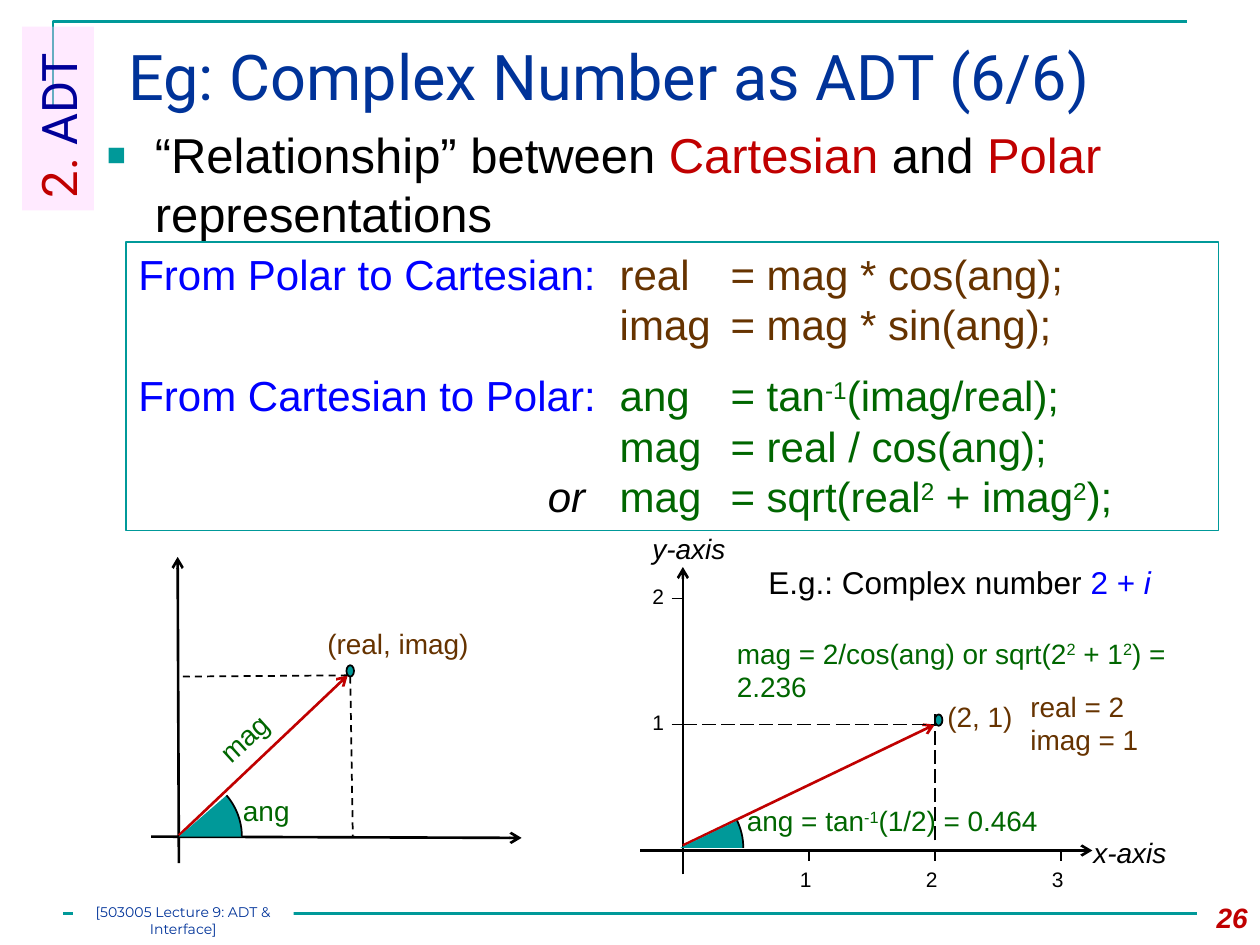
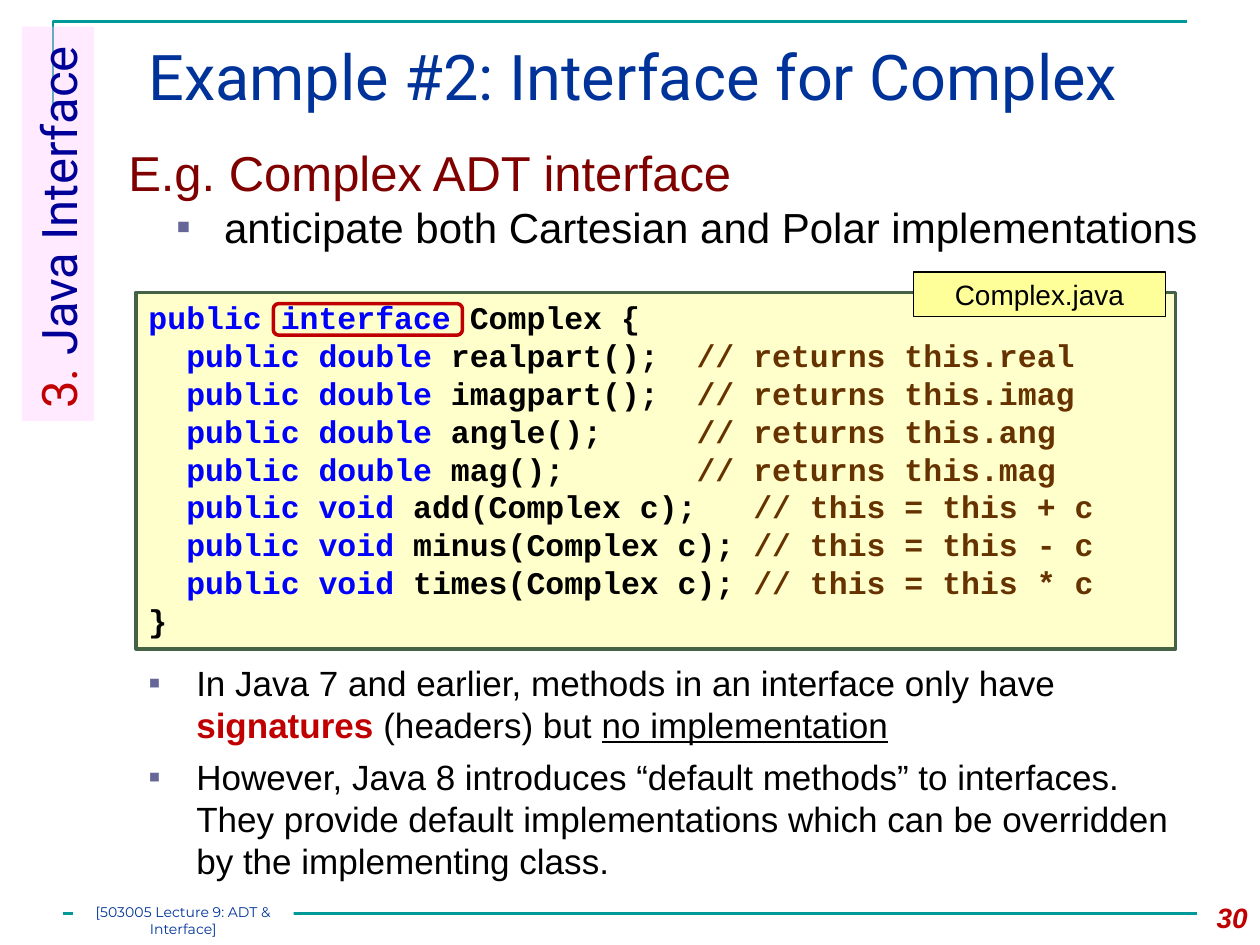
from math import atan2, degrees

from lxml import etree
from pptx import Presentation
from pptx.dml.color import RGBColor
from pptx.enum.dml import MSO_LINE
from pptx.enum.shapes import MSO_CONNECTOR, MSO_SHAPE
from pptx.enum.text import MSO_ANCHOR, PP_ALIGN
from pptx.oxml.ns import qn
from pptx.util import Inches, Pt

TEAL, NAVY, RED, BLACK, WHITE = "009999", "003399", "C00000", "000000", "FFFFFF"
BLUE, BROWN, GREEN, SLATE = "0000FF", "663300", "006600", "666699"
TAG_PINK, TAG_NAVY, MAROON = "FFCCFF", "000099", "800000"
CODE_FILL, CODE_EDGE, FILE_FILL = "FFFFCC", "446246", "FFFF99"


def rgb(value):
    return RGBColor.from_string(value)


def add_child(parent, tag, **attributes):
    child = etree.SubElement(parent, qn(tag))
    for name, value in attributes.items():
        child.set(name, str(value))
    return child


def style_outline(shape, fill=None, line=None, width=0.75):
    shape.shadow.inherit = False
    if fill:
        shape.fill.solid()
        shape.fill.fore_color.rgb = rgb(fill)
    else:
        shape.fill.background()
    if line:
        shape.line.color.rgb = rgb(line)
        shape.line.width = Pt(width)
    else:
        shape.line.fill.background()


def add_preset(page, kind, at, fill=None, line=None, width=0.75):
    shape = page.shapes.add_shape(kind, *map(Inches, at))
    style_outline(shape, fill, line, width)
    shape.text_frame.vertical_anchor = MSO_ANCHOR.TOP
    return shape


def add_line(page, start, end, colour=BLACK, width=1.0, dash=None, arrow=False):
    line = page.shapes.add_connector(MSO_CONNECTOR.STRAIGHT, *map(Inches, start + end))
    line.line.color.rgb = rgb(colour)
    line.line.width = Pt(width)
    if dash:
        line.line.dash_style = dash
    if arrow:
        add_child(line.line._get_or_add_ln(), "a:tailEnd", type="arrow")
    add_child(line._element.spPr, "a:effectLst")
    return line


def add_para(frame, spans, size, font="Arial", align=PP_ALIGN.LEFT, before=0):
    """Add (text, colour, marks) spans; marks: b bold, i italic, u underlined, ^ raised."""
    first = frame.paragraphs[0]
    para = frame.add_paragraph() if first.runs else first
    para.alignment = align
    para.space_before = Pt(before)
    for text, colour, *marks in spans:
        marks = marks[0] if marks else ""
        span = para.add_run()
        span.text = text
        span.font.name = font
        span.font.size = Pt(size)
        span.font.color.rgb = rgb(colour)
        span.font.bold = "b" in marks
        span.font.italic = "i" in marks
        span.font.underline = "u" in marks
        if "^" in marks:
            span.font._element.set("baseline", "30000")
    return para


def set_hanging(para, left, bullet=None, colour=SLATE, percent=100):
    properties = para._p.get_or_add_pPr()
    properties.set("marL", str(Inches(left)))
    properties.set("indent", str(-Inches(0.38)))
    if bullet:
        add_child(add_child(properties, "a:buClr"), "a:srgbClr", val=colour)
        add_child(properties, "a:buSzPct", val=percent * 1000)
        add_child(properties, "a:buFont", typeface="Arial")
        add_child(properties, "a:buChar", char=bullet)


def set_tabs(para, stops):
    tabs = add_child(para._p.get_or_add_pPr(), "a:tabLst")
    for stop in stops:
        add_child(tabs, "a:tab", pos=Inches(stop), algn="l")


def add_box(page, at, wrap=True):
    box = page.shapes.add_textbox(*map(Inches, at))
    box.text_frame.word_wrap = wrap
    return box


def add_label(page, at, spans, size=16, wrap=False):
    box = add_box(page, at, wrap)
    add_para(box.text_frame, spans, size)
    return box


def add_frame(page, title, title_left, number):
    """Add the ruled corner, the footer line, the title and the slide number."""
    builder = page.shapes.build_freeform(Inches(0.42), Inches(0.83))
    builder.add_line_segments(
        [(Inches(0.42), Inches(0.17)), (Inches(9.42), Inches(0.17))], close=False)
    style_outline(builder.convert_to_shape(), line=TEAL, width=1.5)
    add_line(page, (0.5, 7.25), (9.5, 7.25), TEAL, 1.5)

    heading = add_box(page, (title_left, 0.25, 9.75 - title_left, 0.86))
    add_para(heading.text_frame, [(title, NAVY)], 36, "Roboto")
    page_number = add_box(page, (9.33, 7.1, 0.67, 0.4))
    add_para(page_number.text_frame, [(number, RED, "bi")], 16, align=PP_ALIGN.RIGHT)


def add_section_tag(page, number, name, length):
    """Add the section name, reading upwards along the left edge."""
    height, centre, top = 0.57, 0.46, 0.21
    at = (centre - length / 2, top + (length - height) / 2, length, height)
    tag = add_preset(page, MSO_SHAPE.RECTANGLE, at, TAG_PINK)
    tag.rotation = 270
    colour = tag._element.spPr.find(qn("a:solidFill"))[0]
    add_child(colour, "a:alpha", val=40000)
    add_para(tag.text_frame, [(number, RED), (name, TAG_NAVY)], 28, "Roboto")


def add_footer(page):
    footer = add_preset(page, MSO_SHAPE.RECTANGLE, (0.58, 7.17, 1.75, 0.17), WHITE)
    frame = footer.text_frame
    frame.margin_left = frame.margin_right = frame.margin_top = frame.margin_bottom = 0
    add_para(frame, [("[503005 Lecture 9: ADT & Interface]", NAVY)], 8,
             "Montserrat", PP_ALIGN.CENTER)


def add_formulas(page):
    box = add_preset(page, MSO_SHAPE.RECTANGLE, (1, 1.92, 8.67, 2.29), line=TEAL)
    columns = (3.82, 4.7)
    rows = [
        ([("From Polar to Cartesian:\t", BLUE), ("real\t= mag * cos(ang);", BROWN)], columns, 0),
        ([("\timag\t= mag * sin(ang);", BROWN)], columns, 0),
        ([("From Cartesian to Polar:\t", BLUE), ("ang\t= tan", GREEN), ("-1", GREEN, "^"),
          ("(imag/real);", GREEN)], columns, 12),
        ([("\tmag\t= real / cos(ang);", GREEN)], columns, 0),
        ([("\tor", BLACK, "i"), ("\tmag\t= sqrt(real", GREEN), ("2", GREEN, "^"),
          (" + imag", GREEN), ("2", GREEN, "^"), (");", GREEN)], (3.25,) + columns, 0),
    ]
    for spans, stops, before in rows:
        set_tabs(add_para(box.text_frame, spans, 24, before=before), stops)


def add_vector(page, origin, tip, dot):
    add_preset(page, MSO_SHAPE.OVAL, dot + (0.06, 0.09), TEAL, BLACK, 1)
    add_line(page, origin, tip, RED, 1.5, arrow=True)


def add_angle(page, centre, start):
    """Add a filled sector of radius 0.5 from the start angle down to the x axis."""
    x, y = centre
    arc = add_preset(page, MSO_SHAPE.ARC, (x - 0.5, y - 0.5, 1, 1), TEAL, BLACK, 1)
    arc.adjustments[0] = start * 0.6  # degrees in 60000ths, scaled by 100000
    arc.adjustments[1] = 0


def add_general_plot(page):
    add_line(page, (1.42, 6.85), (1.41, 4.42), width=1.5, arrow=True)
    add_line(page, (1.2, 6.64), (4.14, 6.65), width=1.5, arrow=True)
    add_vector(page, (1.42, 6.63), (2.76, 5.36), (2.75, 5.28))
    add_angle(page, (1.42, 6.64), 319.13)
    add_label(page, (1.83, 6.25, 0.58, 0.37), [("ang", GREEN)])
    magnitude = add_label(page, (1.62, 5.67, 0.64, 0.37), [("mag", GREEN)])
    magnitude.rotation = 317.8
    add_line(page, (2.78, 5.37), (2.8, 6.64), dash=MSO_LINE.DASH)
    add_line(page, (2.76, 5.36), (1.44, 5.37), dash=MSO_LINE.DASH)
    add_label(page, (2.5, 4.92, 1.34, 0.37), [("(real, imag)", BROWN)])


def add_example_plot(page):
    left, base = 5.42, 6.75
    point_x, point_y = left + 2, base - 1
    add_label(page, (5.08, 4.17, 0.79, 0.37), [("y-axis", BLACK, "i")])
    add_label(page, (8.58, 6.58, 0.79, 0.37), [("x-axis", BLACK, "i")])
    add_line(page, (left, 6.94), (left, 4.5), width=1.5, arrow=True)
    add_line(page, (5.08, base), (8.67, base), width=1.5, arrow=True)
    add_vector(page, (left, 6.71), (point_x, point_y), (point_x, 5.67))
    add_angle(page, (5.4, 6.73), 360 - degrees(atan2(0.96, 2)))

    for value in (1, 2, 3):
        x = left + value
        add_line(page, (x, base), (x, base + 0.08))
        add_label(page, (x - 0.17, 6.83, 0.29, 0.3), [(str(value), BLACK)], 12)
    for value in (1, 2):
        y = base - value
        add_line(page, (left - 0.09, y), (left, y), width=0.75)
        add_label(page, (5.08, y - 0.17, 0.29, 0.3), [(str(value), BLACK)], 12)
    add_line(page, (left, point_y), (point_x, point_y), dash=MSO_LINE.LONG_DASH)
    add_line(page, (point_x, 6.67), (point_x, 5.67), dash=MSO_LINE.LONG_DASH)

    add_label(page, (5.83, 6.33, 2.67, 0.37),
              [("ang = tan", GREEN), ("-1", GREEN, "^"), ("(1/2) = 0.464", GREEN)], wrap=True)
    add_label(page, (5.75, 5, 3.67, 0.64),
              [("mag = 2/cos(ang) or sqrt(2", GREEN), ("2", GREEN, "^"), (" + 1", GREEN),
               ("2", GREEN, "^"), (") = 2.236", GREEN)], wrap=True)
    add_label(page, (7.42, 5.5, 0.73, 0.37), [("(2, 1)", BROWN)])
    parts = add_label(page, (8.08, 5.42, 1.07, 0.64), [("real = 2", BROWN)])
    add_para(parts.text_frame, [("imag = 1", BROWN)], 16)
    add_label(page, (6, 4.42, 3.42, 0.4),
              [("E.g.: Complex number ", BLACK), ("2 + ", BLUE), ("i", BLUE, "i")], 18, True)


def add_code(page):
    box = add_preset(page, MSO_SHAPE.RECTANGLE, (1.08, 2.32, 8.25, 2.83),
                     CODE_FILL, CODE_EDGE, 2)
    near, far = 4.35, 4.8
    methods = [
        ("double", "realpart()", "returns this.real", near),
        ("double", "imagpart()", "returns this.imag", near),
        ("double", "angle()", "returns this.ang", near),
        ("double", "mag()", "returns this.mag", near),
        ("void", "add(Complex c)", "this = this + c", far),
        ("void", "minus(Complex c)", "this = this - c", far),
        ("void", "times(Complex c)", "this = this * c", far),
    ]

    def add_code_line(*spans):
        bold = [(text, colour, "b") for text, colour in spans]
        return add_para(box.text_frame, bold, 18, "Courier New")

    add_code_line(("public interface", BLUE), (" Complex {", BLACK))
    for kind, signature, comment, column in methods:
        para = add_code_line((f"\tpublic {kind}", BLUE), (f" {signature};\t", BLACK),
                             (f"// {comment}", BROWN))
        set_tabs(para, (0.3, column))
    add_code_line(("}", BLACK))

    file_name = add_preset(page, MSO_SHAPE.RECTANGLE, (7.25, 2.16, 2, 0.35), FILE_FILL, BLACK)
    file_name.text_frame.vertical_anchor = MSO_ANCHOR.MIDDLE
    add_para(file_name.text_frame, [("Complex.java", BLACK)], 16, align=PP_ALIGN.CENTER)
    add_preset(page, MSO_SHAPE.ROUNDED_RECTANGLE, (2.17, 2.41, 1.5, 0.25), line=RED, width=2)


def build_complex_number(page):
    add_frame(page, "Eg: Complex Number as ADT (6/6)", 0.92, "26")
    add_section_tag(page, "2. ", "ADT", 1.46)
    body = add_box(page, (0.75, 0.94, 8.75, 1.06))
    para = add_para(body.text_frame, [
        ("“Relationship” between ", BLACK), ("Cartesian", RED), (" and ", BLACK),
        ("Polar", RED), (" representations", BLACK)], 28, before=3)
    set_hanging(para, 0.38, "■", TEAL, 65)
    add_formulas(page)
    add_general_plot(page)
    add_example_plot(page)
    add_footer(page)


def build_interface(page):
    add_frame(page, "Example #2: Interface for Complex", 1.08, "30")
    add_section_tag(page, "3. ", "Java Interface", 3.13)
    add_footer(page)
    intro = add_box(page, (0.92, 1.08, 8.72, 1.09)).text_frame
    set_hanging(add_para(intro, [("E.g. Complex ADT interface", MAROON)], 28, before=3), 0.38)
    set_hanging(add_para(intro, [
        ("anticipate both Cartesian and Polar implementations", BLACK)], 24), 0.76, "▪")
    notes = add_box(page, (1.08, 5.2, 8.5, 1.84)).text_frame
    for spans in (
        [("In Java 7 and earlier, methods in an interface only have ", BLACK),
         ("signatures", RED, "b"), (" (headers) but ", BLACK), ("no implementation", BLACK, "u")],
        [("However, Java 8 introduces “default methods” to interfaces. They provide default "
          "implementations which can be overridden by the implementing class.", BLACK)],
    ):
        set_hanging(add_para(notes, spans, 20, before=6), 0.38, "▪")
    add_code(page)


def main():
    deck = Presentation()
    deck.slide_width, deck.slide_height = Inches(10), Inches(7.5)
    for build in (build_complex_number, build_interface):
        build(deck.slides.add_slide(deck.slide_layouts[6]))
    deck.save("out.pptx")


if __name__ == "__main__":
    main()
